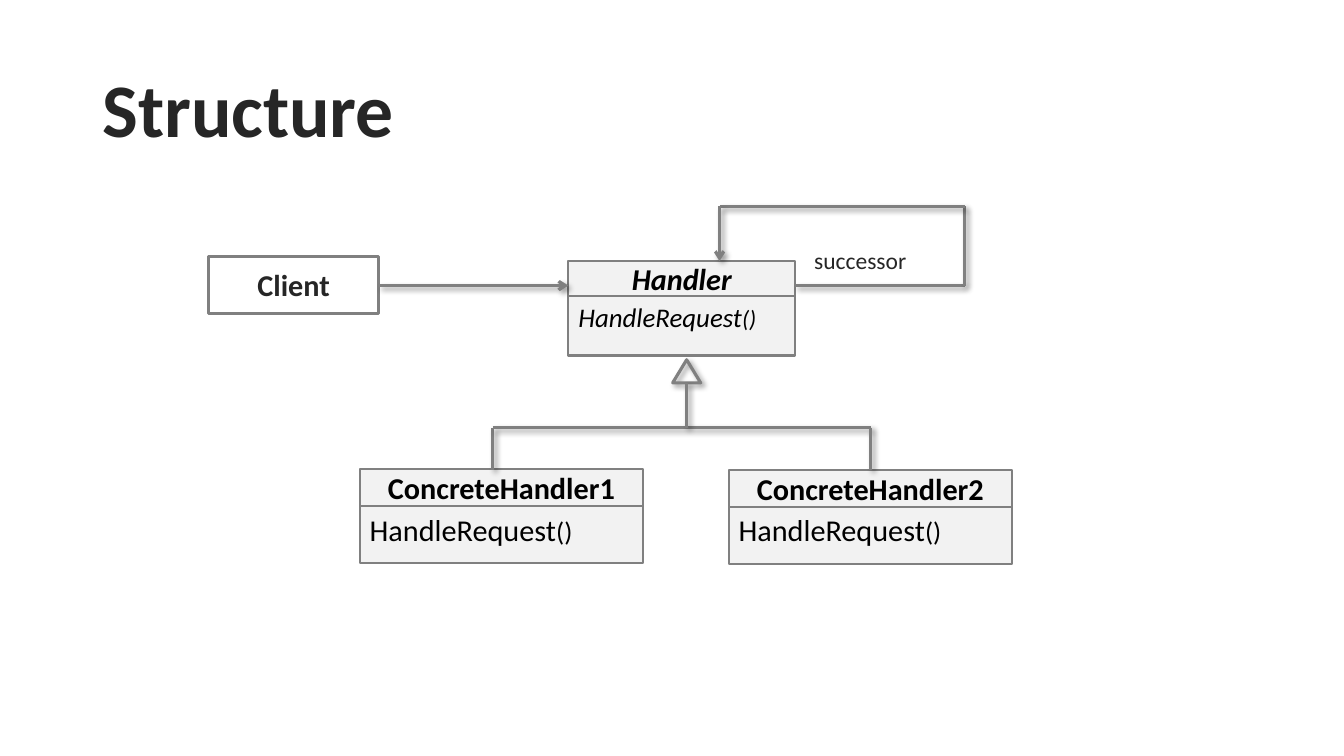
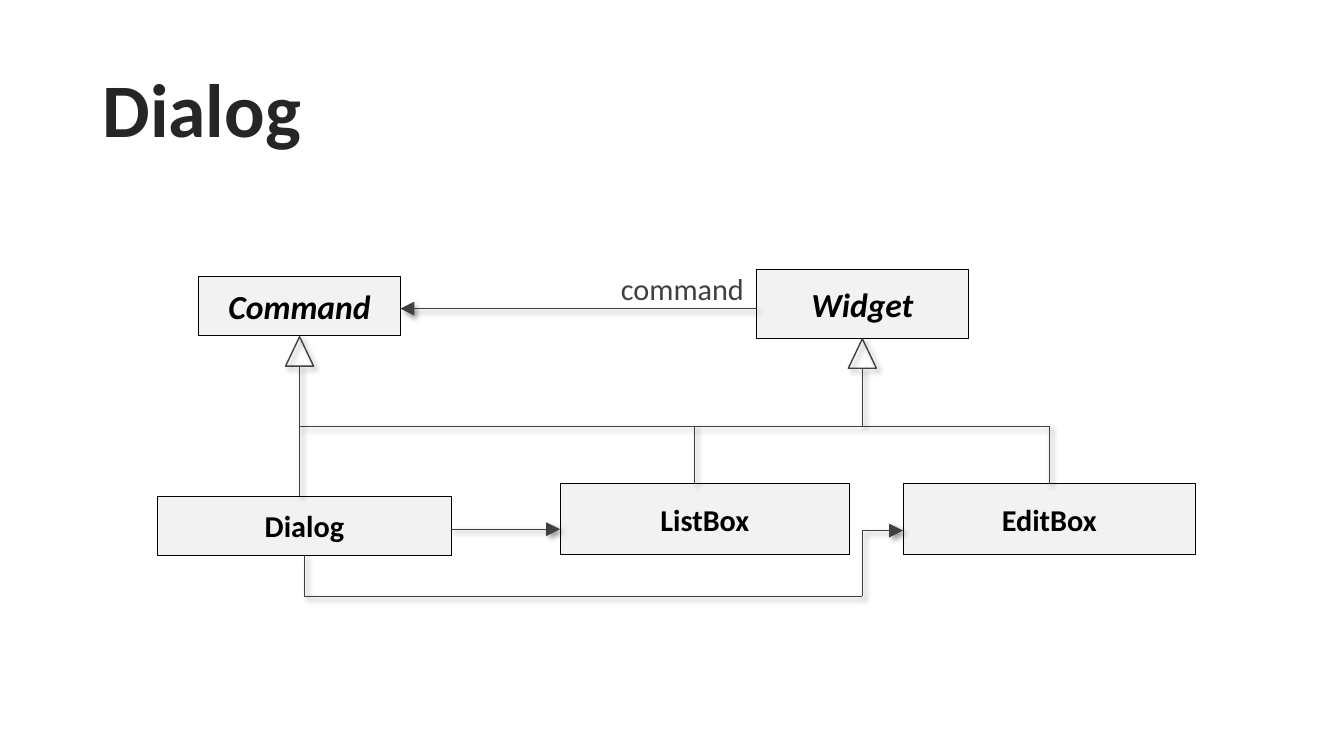
from dataclasses import dataclass
from itertools import pairwise
from typing import Any

from lxml.etree import SubElement
from pptx import Presentation
from pptx.dml.color import RGBColor
from pptx.enum.shapes import MSO_CONNECTOR, MSO_SHAPE
from pptx.enum.text import MSO_ANCHOR as Anchor, PP_ALIGN as Align
from pptx.oxml import parse_xml
from pptx.oxml.ns import nsdecls, qn
from pptx.util import Pt

BLACK = RGBColor(0x00, 0x00, 0x00)
INK = RGBColor(0x26, 0x26, 0x26)
CHARCOAL = RGBColor(0x40, 0x40, 0x40)
GRAY = RGBColor(0x80, 0x80, 0x80)
PALE = RGBColor(0xF2, 0xF2, 0xF2)

FONT = "Calibri"
TITLE_ONLY = 5
TRIANGLE_WIDTH = 20

Point = tuple[float, float]
Span = tuple[str, dict[str, Any]]

SHADOW = (
    f'<a:effectLst {nsdecls("a")}>'
    '<a:outerShdw blurRad="50800" dist="38100" dir="2700000" algn="tl" rotWithShape="0">'
    '<a:srgbClr val="000000"><a:alpha val="40000"/></a:srgbClr>'
    "</a:outerShdw></a:effectLst>"
)


@dataclass(frozen=True)
class Area:
    left: float
    top: float
    width: float
    height: float

    def lengths(self) -> tuple[Pt, Pt, Pt, Pt]:
        return Pt(self.left), Pt(self.top), Pt(self.width), Pt(self.height)


@dataclass(frozen=True)
class Stroke:
    color: RGBColor
    weight: float
    arrow: str = "none"
    arrow_size: str = "med"


@dataclass(frozen=True)
class Node:
    """A framed box with centred bold text."""
    text: str
    area: Area
    size: float = 21.6
    italic: bool = False
    color: RGBColor = BLACK
    fill: RGBColor | None = PALE


@dataclass(frozen=True)
class ClassBox:
    """A name box with a method box right below it."""
    name: Node
    body_height: float
    method_size: float
    brackets_size: float


@dataclass(frozen=True)
class Path:
    points: list[Point]
    arrow: bool = False


@dataclass(frozen=True)
class Inheritance:
    """A hollow triangle at the apex, with a stem down to another height."""
    apex: Point
    triangle_height: float
    stem_end: float


CLASS_FRAME = Stroke(GRAY, 1.5)
CLIENT_FRAME = Stroke(GRAY, 2.25)
STRUCTURE_LINE = Stroke(GRAY, 2.25, "arrow")
DIALOG_FRAME = Stroke(BLACK, 0.5)
DIALOG_LINE = Stroke(CHARCOAL, 1, "triangle", "lg")

CLIENT = Node("Client", Area(149, 183, 121.5, 41), color=INK, fill=None)
CLASS_BOXES = [
    ClassBox(Node("Handler", Area(406, 186.5, 162, 25), italic=True), 42.5, 19.2, 16.8),
    ClassBox(Node("ConcreteHandler1", Area(257, 335, 202.5, 26.5)), 41, 21.6, 19.2),
    ClassBox(Node("ConcreteHandler2", Area(520.5, 335.5, 202.5, 26.5)), 41, 21.6, 19.2),
]
STRUCTURE_PATHS = [
    Path([(352, 335.5), (352, 305.5), (622, 305.5), (622, 335.5)]),
    Path([(568, 204), (689, 204), (689, 147.5), (514, 147.5), (514, 186.5)], True),
    Path([(270.5, 204), (406, 204)], True),
]
STRUCTURE_PARENTS = [Inheritance((490.5, 257), 16.5, 305.5)]

DIALOG_NODES = [
    Node("Command", Area(142, 197.5, 144, 42), 24, True),
    Node("Widget", Area(540.5, 192.5, 151, 49), 24, True),
    Node("Dialog", Area(112.5, 354.5, 210, 42)),
    Node("ListBox", Area(400.5, 345.5, 206, 50.5)),
    Node("EditBox", Area(645, 345.5, 209, 50.5)),
]
DIALOG_PATHS = [
    Path([(214, 304.5), (749.5, 304.5), (749.5, 346)]),
    Path([(496, 304.5), (496, 346)]),
    Path([(322, 378), (400, 378)], True),
    Path([(217.5, 396.5), (217.5, 426), (616, 426), (616, 379), (645, 379)], True),
    Path([(540.5, 220.5), (286, 220.5)], True),
]
DIALOG_PARENTS = [
    Inheritance((214, 240.5), 21, 354.5),
    Inheritance((616, 242), 21, 304.5),
]


def write(frame, spans: list[Span], align: Align, anchor: Anchor = Anchor.TOP) -> None:
    frame.word_wrap = True
    frame.vertical_anchor = anchor
    para = frame.paragraphs[0]
    para.alignment = align
    for text, formats in spans:
        span = para.add_run()
        span.text = text
        for key, value in {"name": FONT, **formats}.items():
            if key == "color":
                span.font.color.rgb = value
            else:
                setattr(span.font, key, Pt(value) if key == "size" else value)


def add_label(page, area: Area, spans: list[Span], align: Align = Align.LEFT) -> None:
    write(page.shapes.add_textbox(*area.lengths()).text_frame, spans, align)


def apply_stroke(line, stroke: Stroke) -> None:
    line.color.rgb = stroke.color
    line.width = Pt(stroke.weight)


def add_preset(page, preset: MSO_SHAPE, area: Area, fill: RGBColor | None, stroke: Stroke):
    shape = page.shapes.add_shape(preset, *area.lengths())
    if fill is None:
        shape.fill.background()
    else:
        shape.fill.solid()
        shape.fill.fore_color.rgb = fill
    apply_stroke(shape.line, stroke)
    shape.shadow.inherit = False
    return shape


def add_node(page, node: Node, stroke: Stroke) -> None:
    box = add_preset(page, MSO_SHAPE.RECTANGLE, node.area, node.fill, stroke)
    formats = {"size": node.size, "bold": True, "italic": node.italic, "color": node.color}
    write(box.text_frame, [(node.text, formats)], Align.CENTER, Anchor.MIDDLE)


def add_class_box(page, item: ClassBox) -> None:
    head = item.name.area
    body = Area(head.left, head.top + head.height, head.width, item.body_height)
    add_node(page, item.name, CLASS_FRAME)
    box = add_preset(page, MSO_SHAPE.RECTANGLE, body, PALE, CLASS_FRAME)
    formats = {"italic": item.name.italic, "color": BLACK}
    write(box.text_frame, [
        ("HandleRequest", {**formats, "size": item.method_size}),
        ("()", {**formats, "size": item.brackets_size}),
    ], Align.LEFT)


def add_path(page, path: Path, stroke: Stroke) -> None:
    """Join the points with straight lines; the last one may carry an arrowhead."""
    for start, end in pairwise(path.points):
        line = page.shapes.add_connector(
            MSO_CONNECTOR.STRAIGHT, *(Pt(value) for value in start + end))
        apply_stroke(line.line, stroke)
        if path.arrow and end == path.points[-1]:
            SubElement(line.line._get_or_add_ln(), qn("a:tailEnd"), type=stroke.arrow,
                       w=stroke.arrow_size, len=stroke.arrow_size)
        line._element.spPr.append(parse_xml(SHADOW))


def add_inheritance(page, item: Inheritance, stroke: Stroke) -> None:
    x, y = item.apex
    area = Area(x - TRIANGLE_WIDTH / 2, y, TRIANGLE_WIDTH, item.triangle_height)
    triangle = add_preset(page, MSO_SHAPE.ISOSCELES_TRIANGLE, area, None, stroke)
    properties = triangle._element.spPr
    properties.replace(properties.find(qn("a:effectLst")), parse_xml(SHADOW))
    add_path(page, Path([(x, y + item.triangle_height), (x, item.stem_end)]), stroke)


def add_page(deck, title: str):
    """Add a slide with the shared title style."""
    page = deck.slides.add_slide(deck.slide_layouts[TITLE_ONLY])
    heading = page.shapes.title
    heading.left, heading.top, heading.width, heading.height = Area(66, 29, 828, 104).lengths()
    formats = {"size": 54, "bold": True, "color": INK}
    write(heading.text_frame, [(title, formats)], Align.LEFT, Anchor.MIDDLE)
    heading.text_frame.paragraphs[0].line_spacing = 0.9
    return page


def add_links(page, paths: list[Path], parents: list[Inheritance], stroke: Stroke) -> None:
    for path in paths:
        add_path(page, path, stroke)
    for parent in parents:
        add_inheritance(page, parent, stroke)


def build_structure(deck) -> None:
    page = add_page(deck, "Structure")
    add_node(page, CLIENT, CLIENT_FRAME)
    for item in CLASS_BOXES:
        add_class_box(page, item)
    add_links(page, STRUCTURE_PATHS, STRUCTURE_PARENTS, STRUCTURE_LINE)
    add_label(page, Area(574.5, 172, 108, 27), [("successor", {"size": 16.8, "color": INK})])


def build_dialog(deck) -> None:
    page = add_page(deck, "Dialog")
    for node in DIALOG_NODES:
        add_node(page, node, DIALOG_FRAME)
    add_links(page, DIALOG_PATHS, DIALOG_PARENTS, DIALOG_LINE)
    add_label(page, Area(430, 189.5, 115, 33),
              [("command", {"size": 21.6, "color": CHARCOAL})], Align.CENTER)


def main() -> None:
    deck = Presentation()
    deck.slide_width, deck.slide_height = Pt(960), Pt(540)
    build_structure(deck)
    build_dialog(deck)
    deck.save("out.pptx")


if __name__ == "__main__":
    main()
